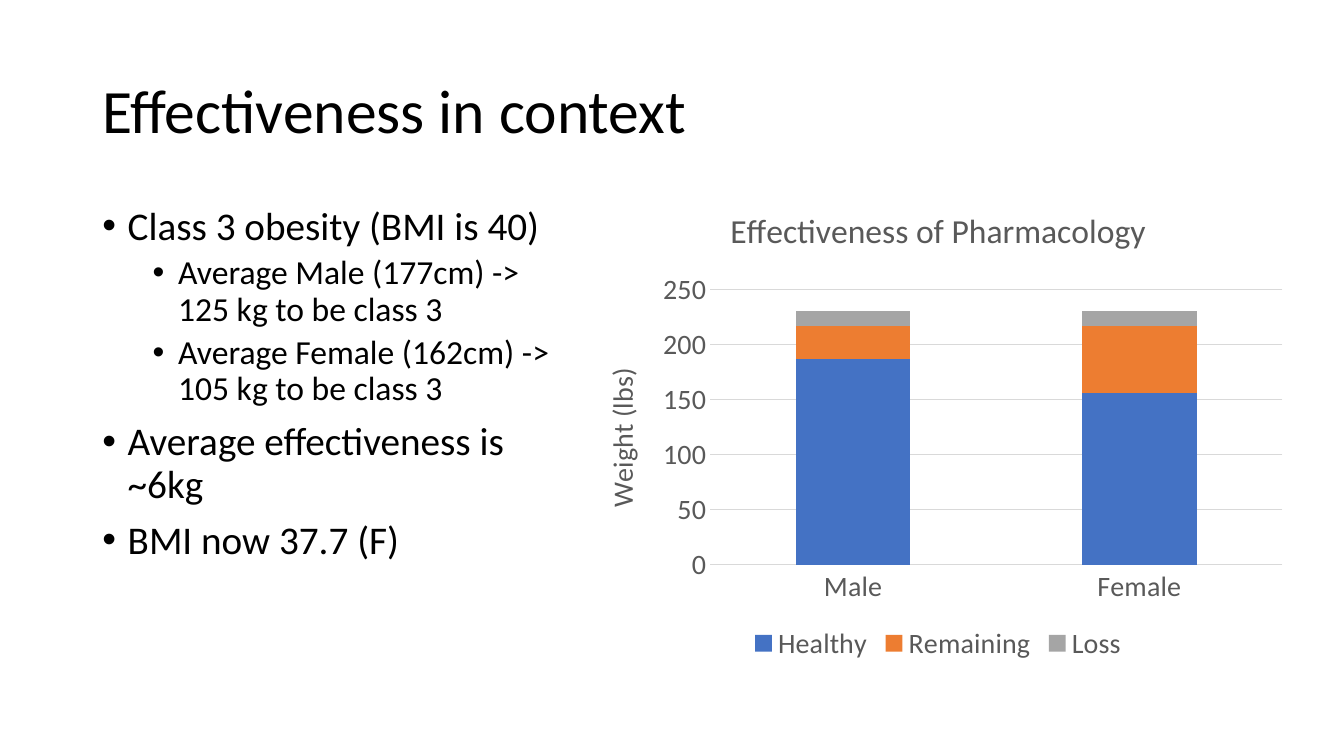
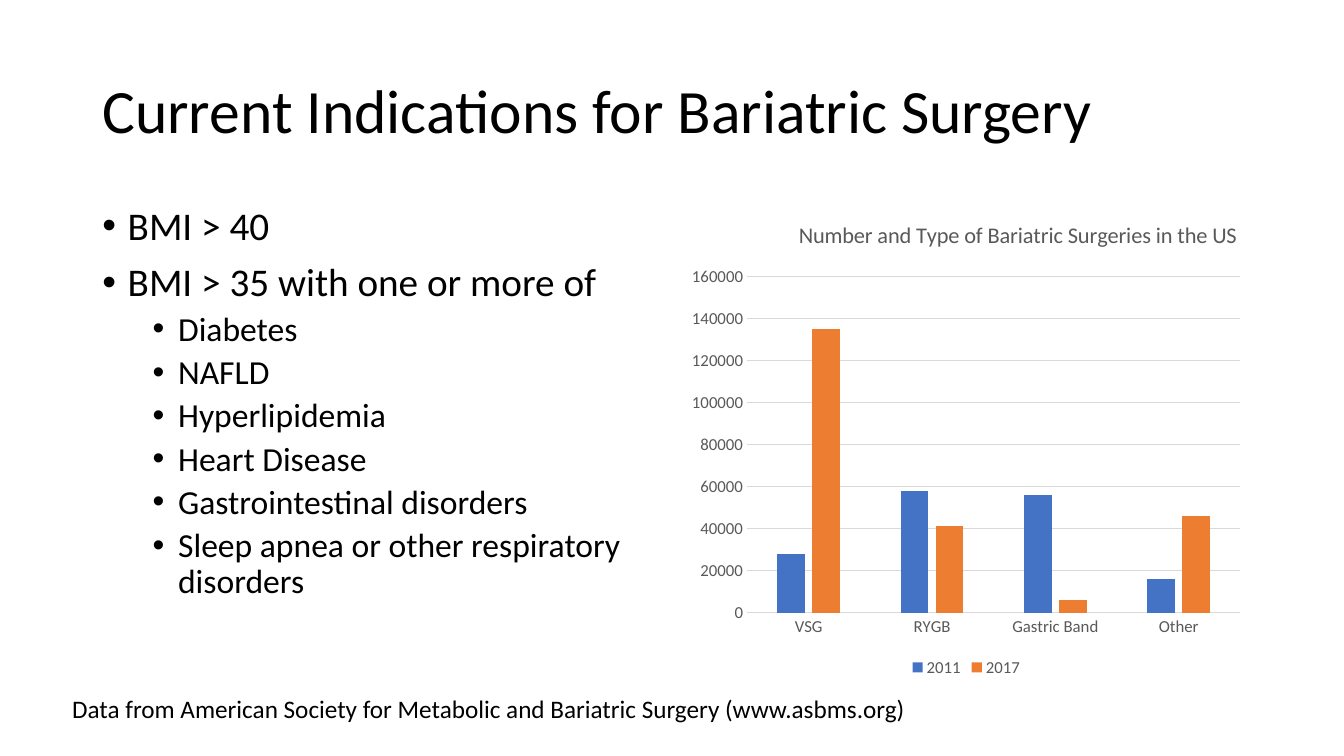
import lxml.etree
import pptx
import pptx.chart.data
import pptx.dml.color
import pptx.enum.chart
import pptx.enum.text
import pptx.oxml.ns
import pptx.util

Cm = pptx.util.Cm
Pt = pptx.util.Pt
qn = pptx.oxml.ns.qn
Kind = pptx.enum.chart.XL_CHART_TYPE

FACE = "Calibri"
INK, GRAY, RULE = "000000", "595959", "D9D9D9"
FILLS = ["4472C4", "ED7D31", "A5A5A5"]
LEFT, TOP, HIGH = 2.33, 5.08, 12.09
# per level: text size, space before, left margin
LEVELS = [(28, 10, 0.64), (24, 5, 1.91)]
HANG = 0.64


def color(code):
    return pptx.dml.color.RGBColor.from_string(code)


def put(target, values):
    for name, value in values.items():
        setattr(target, name, value)


def style(font, size, code=INK):
    put(font, {"name": FACE, "size": Pt(size), "bold": False})
    font.color.rgb = color(code)


def write(par, text, size, code=INK):
    run = par.add_run()
    run.text = text
    style(run.font, size, code)


def frame(slide, box, **values):
    """Add a text box and return its text frame."""
    text = slide.shapes.add_textbox(*map(Cm, box)).text_frame
    put(text, {"word_wrap": True, **values})
    return text


def title(slide, text):
    box = frame(slide, (LEFT, 1.01, 29.21, 3.68),
                vertical_anchor=pptx.enum.text.MSO_ANCHOR.MIDDLE)
    par = box.paragraphs[0]
    par.line_spacing = 0.9
    write(par, text, 44)


def bullets(slide, width, items):
    """Write (level, text) items as a bulleted list."""
    body = frame(slide, (LEFT, TOP, width, HIGH))
    for i, (level, text) in enumerate(items):
        par = body.add_paragraph() if i else body.paragraphs[0]
        size, gap, margin = LEVELS[level]
        props = par._p.get_or_add_pPr()
        props.set("marL", str(Cm(margin)))
        props.set("indent", str(-Cm(HANG)))
        lxml.etree.SubElement(props, qn("a:buFont")).set("typeface", "Arial")
        lxml.etree.SubElement(props, qn("a:buChar")).set("char", "•")
        put(par, {"level": level, "line_spacing": 0.9,
                  "space_before": Pt(gap if i else 0)})
        write(par, text, size)


def note(slide, text):
    box = frame(slide, (1.57, 17.35, 21.74, 1.02), word_wrap=False,
                auto_size=pptx.enum.text.MSO_AUTO_SIZE.SHAPE_TO_FIT_TEXT)
    write(box.paragraphs[0], text, 18)


def rule(line):
    line.color.rgb = color(RULE)
    line.width = Pt(0.75)


def axes(chart, size):
    for axis in (chart.category_axis, chart.value_axis):
        put(axis, {"major_tick_mark": pptx.enum.chart.XL_TICK_MARK.NONE,
                   "minor_tick_mark": pptx.enum.chart.XL_TICK_MARK.NONE})
        style(axis.tick_labels.font, size, GRAY)
    rule(chart.category_axis.format.line)
    chart.value_axis.format.line.fill.background()
    rule(chart.value_axis.major_gridlines.format.line)


def place(head, x, y):
    """Set the chart title's corner, as fractions of the chart."""
    spot = head.element.find(qn("c:layout"))
    if spot is None:
        spot = lxml.etree.Element(qn("c:layout"))
        head.element.find(qn("c:tx")).addnext(spot)
    manual = lxml.etree.SubElement(spot, qn("c:manualLayout"))
    for tag, value in {"xMode": "edge", "yMode": "edge", "x": x, "y": y}.items():
        lxml.etree.SubElement(manual, qn("c:" + tag)).set("val", str(value))


def graph(slide, box, kind, cats, rows, head, sizes, gap, overlap):
    """Add a column chart; sizes are those of the title and the labels."""
    data = pptx.chart.data.CategoryChartData()
    data.categories = cats
    for name, values in rows.items():
        data.add_series(name, values)
    chart = slide.shapes.add_chart(kind, *map(Cm, box), data).chart
    big, small = sizes
    style(chart.font, small)
    put(chart, {"has_title": True, "has_legend": True})
    write(chart.chart_title.text_frame.paragraphs[0], head, big, GRAY)
    put(chart.legend, {"position": pptx.enum.chart.XL_LEGEND_POSITION.BOTTOM,
                       "include_in_layout": False})
    style(chart.legend.font, small, GRAY)
    axes(chart, small)
    plot = chart.plots[0]
    put(plot, {"gap_width": gap, "overlap": overlap,
               "vary_by_categories": False})
    for series, code in zip(plot.series, FILLS):
        series.format.fill.solid()
        series.format.fill.fore_color.rgb = color(code)
    return chart


def context(slide):
    title(slide, "Effectiveness in context")
    bullets(slide, 11.84, [
        (0, "Class 3 obesity (BMI is 40)"),
        (1, "Average Male (177cm) -> 125 kg to be class 3"),
        (1, "Average Female (162cm) -> 105 kg to be class 3"),
        (0, "Average effectiveness is ~6kg"),
        (0, "BMI now 37.7 (F)"),
    ])
    chart = graph(slide, (14.6, 4.7, 18.08, HIGH), Kind.COLUMN_STACKED,
                  ["Male", "Female"],
                  {"Healthy": [187, 156], "Remaining": [30, 61],
                   "Loss": [13, 13]},
                  "Effectiveness of Pharmacology", (24, 20), 150, 100)
    label = chart.value_axis.axis_title.text_frame
    write(label.paragraphs[0], "Weight (lbs)", 20, GRAY)


def surgery(slide):
    title(slide, "Current Indications for Bariatric Surgery")
    bullets(slide, 14.4, [
        (0, "BMI > 40"),
        (0, "BMI > 35 with one or more of"),
        (1, "Diabetes"),
        (1, "NAFLD"),
        (1, "Hyperlipidemia"),
        (1, "Heart Disease"),
        (1, "Gastrointestinal disorders"),
        (1, "Sleep apnea or other respiratory disorders"),
    ])
    chart = graph(slide, (17.15, TOP, 14.4, HIGH), Kind.COLUMN_CLUSTERED,
                  ["VSG", "RYGB", "Gastric Band", "Other"],
                  {"2011": [28000, 58000, 56000, 16000],
                   "2017": [135000, 41000, 6000, 46000]},
                  "Number and Type of Bariatric Surgeries in the US",
                  (16, 12), 219, -27)
    place(chart.chart_title, 0.2, 0.03)
    note(slide, "Data from American Society for Metabolic and Bariatric "
                "Surgery (www.asbms.org)")


def main():
    deck = pptx.Presentation()
    put(deck, {"slide_width": Cm(33.87), "slide_height": Cm(19.05)})
    for build in (context, surgery):
        build(deck.slides.add_slide(deck.slide_layouts[6]))
    deck.save("out.pptx")


if __name__ == "__main__":
    main()
